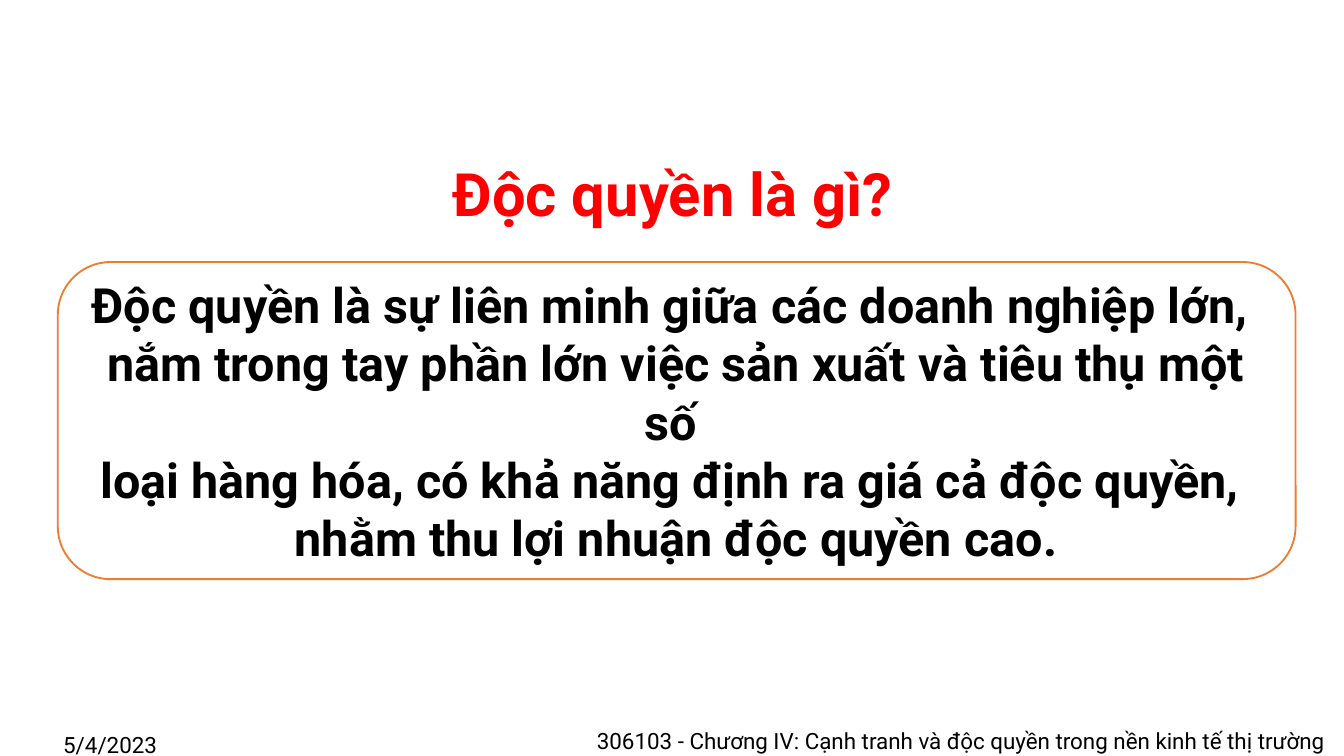
from dataclasses import dataclass

from pptx import Presentation
from pptx.dml.color import RGBColor
from pptx.enum.shapes import MSO_SHAPE
from pptx.enum.text import MSO_ANCHOR, PP_ALIGN
from pptx.util import Pt

ROUNDED = MSO_SHAPE.ROUNDED_RECTANGLE
MIDDLE = MSO_ANCHOR.MIDDLE
CENTER, RIGHT = PP_ALIGN.CENTER, PP_ALIGN.RIGHT
PX = 9144  # EMU per px, 100 px to the inch


@dataclass(frozen=True)
class Theme:
    font: str = "Roboto"
    paper: str = "FFFFFF"
    ink: str = "000000"
    accent: str = "FF0000"
    border: str = "ED7D31"
    title_size: int = 32
    body_size: int = 26
    footer_size: int = 12


def write_text(frame, text, *, font, size, color, bold=False, align=CENTER, spacing=None):
    """Fill a frame with one paragraph per line of text."""
    frame.word_wrap = True
    frame.vertical_anchor = MIDDLE
    for index, line in enumerate(text.split("\n")):
        paragraph = frame.add_paragraph() if index else frame.paragraphs[0]
        paragraph.alignment = align
        if spacing:
            paragraph.line_spacing = spacing
        run = paragraph.add_run()
        run.text = line
        run.font.name = font
        run.font.size = Pt(size)
        run.font.bold = bold
        run.font.color.rgb = RGBColor.from_string(color)


class SlideBuilder:
    def __init__(self, slide, theme):
        self.slide = slide
        self.theme = theme

    def panel(self, box, text, border, **text_format):
        panel = self.slide.shapes.add_shape(ROUNDED, *(PX * n for n in box))
        panel.shadow.inherit = False
        panel.fill.solid()
        panel.fill.fore_color.rgb = RGBColor.from_string(self.theme.paper)
        panel.line.color.rgb = RGBColor.from_string(border)
        panel.line.width = Pt(1)
        write_text(panel.text_frame, text, font=self.theme.font, bold=True, **text_format)

    def footer(self, box, text, align):
        footer = self.slide.shapes.add_textbox(*(PX * n for n in box))
        write_text(footer.text_frame, text, font=self.theme.font, size=self.theme.footer_size,
                   color=self.theme.ink, align=align, spacing=0.9)


DEFINITION = (
    "Độc quyền là sự liên minh giữa các doanh nghiệp lớn, \n"
    "nắm trong tay phần lớn việc sản xuất và tiêu thụ một số \n"
    "loại hàng hóa, có khả năng định ra giá cả độc quyền, \n"
    "nhằm thu lợi nhuận độc quyền cao."
)


def main():
    deck = Presentation()
    # Widescreen, 16:9
    deck.slide_width = 1000 * PX
    deck.slide_height = deck.slide_width * 9 // 16
    theme = Theme()
    builder = SlideBuilder(deck.slides.add_slide(deck.slide_layouts[6]), theme)

    # Definition and the question above it
    builder.panel((43, 195, 921, 236), DEFINITION, theme.border,
                  size=theme.body_size, color=theme.ink)
    builder.panel((276, 100, 449, 87), "Độc quyền là gì?", theme.paper,
                  size=theme.title_size, color=theme.accent)

    # Date and chapter at the foot
    builder.footer((15, 535, 134, 40), "5/4/2023", CENTER)
    builder.footer((367, 532, 629, 40),
                   "306103 - Chương IV: Cạnh tranh và độc quyền trong nền kinh tế thị trường",
                   RIGHT)

    deck.save("out.pptx")


if __name__ == "__main__":
    main()
